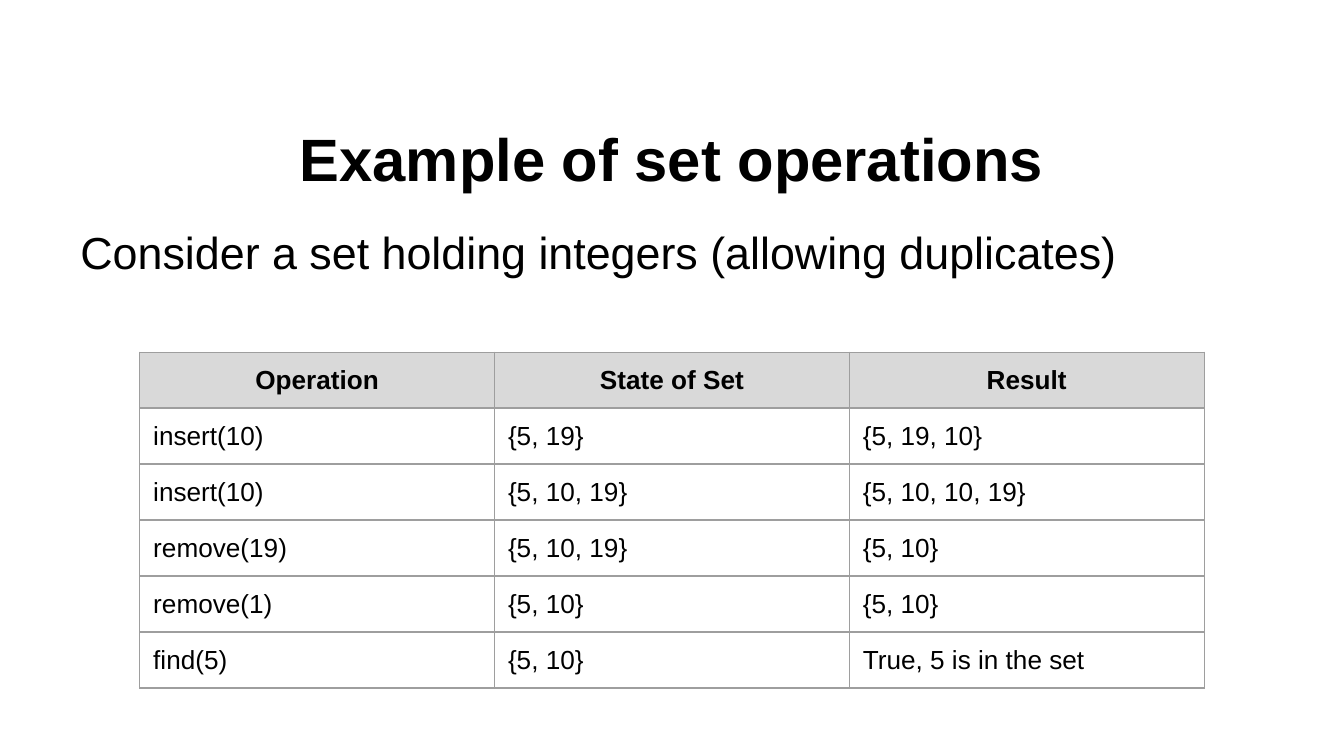
from dataclasses import dataclass

from lxml.etree import SubElement
from pptx import Presentation
from pptx.dml.color import RGBColor
from pptx.enum.text import MSO_ANCHOR as Anchor, PP_ALIGN as Align
from pptx.oxml.ns import qn
from pptx.util import Inches, Pt

BLACK = RGBColor(0x00, 0x00, 0x00)
HEADER_GRAY = RGBColor(0xD9, 0xD9, 0xD9)
BORDER_GRAY = RGBColor(0x9E, 0x9E, 0x9E)
FONT = "Arial"
INSET = Inches(0.1)
CELL_BOTTOM_INSET = Inches(0.08)
TABLE_WIDTH, TABLE_HEIGHT = Inches(7.92), Inches(2.5)


@dataclass
class SetStep:
    """One operation with the set before it and its result."""
    operation: str
    state: str
    result: str

    def texts(self) -> tuple[str, str, str]:
        """Return the row's texts in column order."""
        return self.operation, self.state, self.result


HEADER = SetStep("Operation", "State of Set", "Result")
STEPS = [
    SetStep("insert(10)", "{5, 19}", "{5, 19, 10}"),
    SetStep("insert(10)", "{5, 10, 19}", "{5, 10, 10, 19}"),
    SetStep("remove(19)", "{5, 10, 19}", "{5, 10}"),
    SetStep("remove(1)", "{5, 10}", "{5, 10}"),
    SetStep("find(5)", "{5, 10}", "True, 5 is in the set"),
]


def write_text(frame, text: str, *, size: float, bold: bool = False,
               align=Align.LEFT, space_before: float = 0) -> None:
    """Write one formatted paragraph into a text frame."""
    frame.word_wrap = True
    para = frame.paragraphs[0]
    para.alignment = align
    para.space_before = Pt(space_before)
    span = para.add_run()
    span.text = text
    span.font.name = FONT
    span.font.size = Pt(size)
    span.font.bold = bold
    span.font.color.rgb = BLACK


def add_text_box(page, top: float, height: float, text: str, *,
                 anchor=Anchor.TOP, **text_format) -> None:
    """Add a text box across the page's content width."""
    box = page.shapes.add_textbox(Inches(0.5), Inches(top), Inches(9), Inches(height))
    frame = box.text_frame
    frame.margin_left = frame.margin_right = INSET
    frame.margin_top = frame.margin_bottom = INSET
    frame.vertical_anchor = anchor
    write_text(frame, text, **text_format)


def add_borders(cell) -> None:
    """Draw a thin gray line on all four sides of a cell."""
    properties = cell._tc.get_or_add_tcPr()
    for side in ("a:lnL", "a:lnR", "a:lnT", "a:lnB"):
        line = SubElement(properties, qn(side), w=str(Pt(0.75)))
        fill = SubElement(line, qn("a:solidFill"))
        SubElement(fill, qn("a:srgbClr"), val=str(BORDER_GRAY))


def fill_cell(cell, text: str, is_header: bool) -> None:
    """Format one table cell and write its text."""
    cell.margin_left = cell.margin_right = cell.margin_top = INSET
    cell.margin_bottom = CELL_BOTTOM_INSET
    add_borders(cell)
    if is_header:
        cell.fill.solid()
        cell.fill.fore_color.rgb = HEADER_GRAY
    else:
        cell.fill.background()
    write_text(cell.text_frame, text, size=14, bold=is_header,
               align=Align.CENTER if is_header else Align.LEFT)


def add_steps_table(page, rows: list[SetStep]) -> None:
    """Add the table of set operations, header row first."""
    table = page.shapes.add_table(
        len(rows), len(HEADER.texts()), Inches(1.04), Inches(2.62),
        TABLE_WIDTH, TABLE_HEIGHT).table
    table.horz_banding = False
    table.first_row = False
    for row_index, step in enumerate(rows):
        for column_index, text in enumerate(step.texts()):
            fill_cell(table.cell(row_index, column_index), text, row_index == 0)


deck = Presentation()
deck.slide_width = Inches(10)
deck.slide_height = deck.slide_width * 9 // 16
page = deck.slides.add_slide(deck.slide_layouts[6])
add_text_box(page, 0.73, 0.88, "Example of set operations",
             anchor=Anchor.MIDDLE, size=32, bold=True, align=Align.CENTER)
add_text_box(page, 1.57, 0.57, "Consider a set holding integers (allowing duplicates)",
             size=24, space_before=4.8)
add_steps_table(page, [HEADER, *STEPS])
deck.save("out.pptx")
